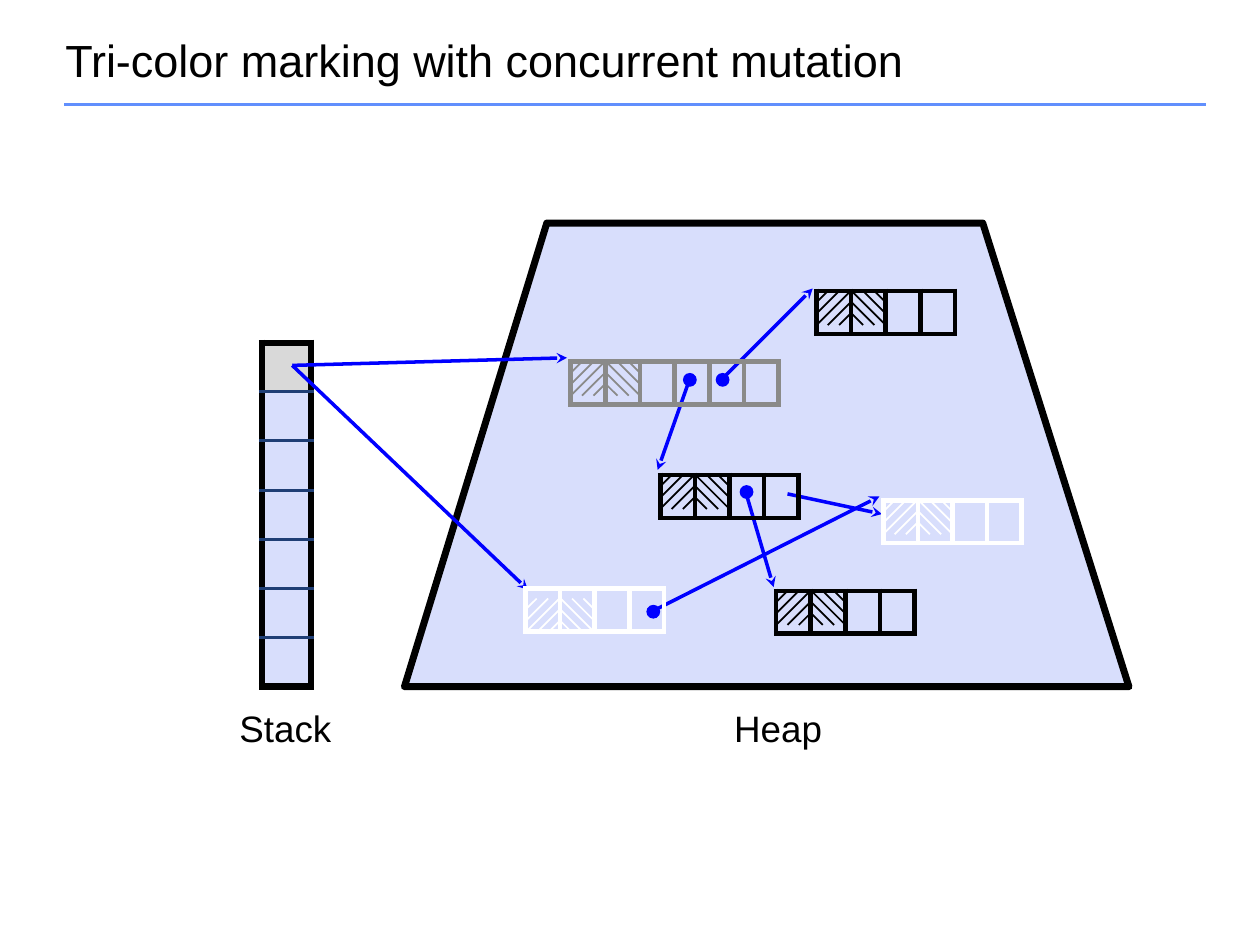
from lxml import etree
from pptx import Presentation
from pptx.dml.color import RGBColor
from pptx.enum.shapes import MSO_CONNECTOR as Connector, MSO_SHAPE as Preset
from pptx.enum.text import MSO_ANCHOR as Anchor, PP_ALIGN as Align
from pptx.oxml import parse_xml
from pptx.oxml.ns import nsdecls, qn
from pptx.util import Inches, Pt

BLACK, WHITE, GRAY, BLUE = "000000", "FFFFFF", "8A8A89", "0000FF"
LAVENDER, NAVY = "BFC8FB", "1F3E75"
rgb = RGBColor.from_string


def add_line(start, end, color, width):
    line = page.shapes.add_connector(
        Connector.STRAIGHT, *[Inches(value) for value in (*start, *end)])
    line.line.color.rgb = rgb(color)
    line.line.width = Pt(width)
    etree.SubElement(line._element.spPr, qn("a:effectLst"))
    return line


def add_grid(left, top, width, height, rows, columns):
    frame = page.shapes.add_table(rows, columns, Inches(left), Inches(top),
                                  Inches(width), Inches(height))
    table = frame.table
    table.first_row = table.horz_banding = False
    for cell in table.iter_cells():
        cell.margin_left = cell.margin_right = 0
        cell.margin_top = cell.margin_bottom = 0
        cell.fill.background()
    return table


deck = Presentation()
deck.slide_width, deck.slide_height = Inches(10), Inches(7.5)
page = deck.slides.add_slide(deck.slide_layouts[6])

# Rule under the title
add_line((0.51, 0.83), (9.57, 0.83), "618FFD", 2)

# Heap outline
outline = page.shapes.build_freeform(Inches(4.34), Inches(1.77))
outline.add_line_segments(
    [(Inches(x), Inches(y)) for x, y in ((7.8, 1.77), (8.96, 5.45), (3.21, 5.45))],
    close=True)
heap = outline.convert_to_shape()
heap.shadow.inherit = False
heap.fill.solid()
heap.fill.fore_color.rgb = rgb(LAVENDER)
heap.line.color.rgb = rgb(BLACK)
heap.line.width = Pt(4)
etree.SubElement(heap.line._get_or_add_ln(), qn("a:round"))
translucent = [heap._element.spPr.find(qn("a:solidFill"))]

# Title and labels
for text, left, top, width, height, inset, size, align, spacing in (
        ("Tri-color marking with concurrent mutation",
         0.42, 0.25, 9.17, 0.5, 0.1, 25.7, Align.LEFT, 0.9),
        ("Stack", 1.81, 5.56, 0.91, 0.43, 0.04, 21, Align.CENTER, 1.0),
        ("Heap", 5.72, 5.56, 0.91, 0.43, 0.04, 21, Align.CENTER, 1.0)):
    box = page.shapes.add_textbox(Inches(left), Inches(top),
                                  Inches(width), Inches(height))
    frame = box.text_frame
    frame.word_wrap = True
    frame.vertical_anchor = Anchor.MIDDLE
    frame.margin_left = frame.margin_right = Inches(inset)
    frame.text = text
    para = frame.paragraphs[0]
    para.alignment = align
    para.line_spacing = spacing
    span = para.runs[0]
    span.font.name = "Arial"
    span.font.size = Pt(size)
    span.font.color.rgb = rgb(BLACK)

# Stack
stack = add_grid(2.08, 2.72, 0.39, 2.73, 7, 1)
borders = []
for row in range(7):
    cell = stack.cell(row, 0)
    cell.fill.solid()
    cell.fill.fore_color.rgb = rgb("D9D9D9" if row == 0 else LAVENDER)
    if row > 0:
        translucent.append(cell._tc.tcPr.find(qn("a:solidFill")))
    top = (BLACK, 4) if row == 0 else (NAVY, 2)
    bottom = (BLACK, 4) if row == 6 else (NAVY, 2)
    borders.append((cell, ((BLACK, 4), (BLACK, 4), top, bottom)))

# Pointer arrows, from field to object
for start, end in (((5.47, 3.02), (5.22, 3.73)), ((5.75, 2.99), (6.45, 2.29)),
                   ((5.92, 3.91), (6.14, 4.66)), ((2.32, 2.9), (4.5, 2.84)),
                   ((2.32, 2.9), (4.19, 4.68)), ((5.2, 4.84), (6.98, 3.94)),
                   ((6.25, 3.92), (7, 4.08))):
    arrow = add_line(start, end, BLUE, 2)
    etree.SubElement(arrow.line._get_or_add_ln(), qn("a:tailEnd"), type="stealth")

# Heap objects with hatched headers
STEP = 0.09
for left, top, fields, color, hatch_drop in (
        (5.24, 3.77, 4, BLACK, 0), (6.48, 2.31, 4, BLACK, 0),
        (7.01, 3.97, 4, WHITE, 0), (4.53, 2.87, 6, GRAY, 0),
        (6.16, 4.69, 4, BLACK, 0), (4.17, 4.67, 4, WHITE, 0.08)):
    block = add_grid(left, top, fields * 0.275, 0.34, 1, fields)
    borders += [(cell, ((color, 3),) * 4) for cell in block.iter_cells()]
    y = top + hatch_drop
    for index in range(1, 6):
        far, near = min(index, 3) * STEP, max(index - 3, 0) * STEP
        add_line((left + far, y + near), (left + near, y + far), color, 1)
        mirror = left + 0.55
        add_line((mirror - far, y + near), (mirror - near, y + far), color, 1)

# Pointer dots
for left, top in ((5.42, 2.96), (5.68, 2.96), (5.87, 3.85), (5.13, 4.8)):
    dot = page.shapes.add_shape(Preset.OVAL, Inches(left), Inches(top),
                                Inches(0.11), Inches(0.11))
    dot.shadow.inherit = False
    dot.fill.solid()
    dot.fill.fore_color.rgb = rgb(BLUE)
    dot.line.fill.background()

# Cell borders come before the fill in the cell properties
for cell, sides in borders:
    for place, (side, (color, width)) in enumerate(zip("LRTB", sides)):
        cell._tc.tcPr.insert(place, parse_xml(
            f'<a:ln{side} {nsdecls("a")} w="{Pt(width)}"><a:solidFill>'
            f'<a:srgbClr val="{color}"/></a:solidFill></a:ln{side}>'))

# Translucent fills
for fill in translucent:
    etree.SubElement(fill[0], qn("a:alpha"), val="60000")

deck.save("out.pptx")
